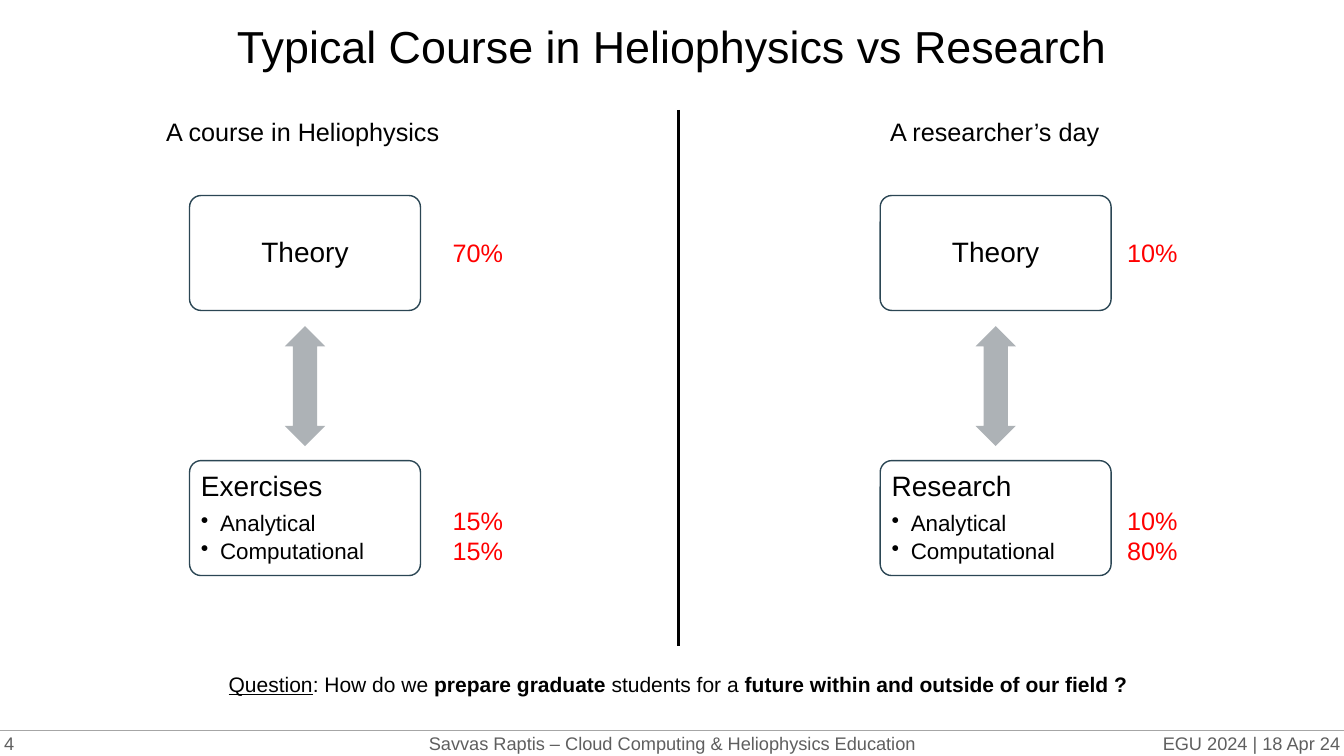
import pptx
import pptx.util
import pptx.dml.color
import pptx.enum.shapes
import pptx.enum.text
import pptx.oxml
import pptx.oxml.ns

Inches = pptx.util.Inches
Pt = pptx.util.Pt
Shape = pptx.enum.shapes.MSO_SHAPE
Align = pptx.enum.text.PP_ALIGN
Anchor = pptx.enum.text.MSO_ANCHOR

COLORS = {
    "ink": "000000", "share": "FF0000", "foot": "5F5F5F", "rule": "A6A6A6",
    "paper": "FFFFFF", "edge": "2B4654", "arrow": "ADB2B6",
}


class Deck:
    font = "Arial"

    def __init__(self, wide, high):
        self.prs = pptx.Presentation()
        self.prs.slide_width = Inches(wide)
        self.prs.slide_height = Inches(high)
        self.slide = self.prs.slides.add_slide(self.prs.slide_layouts[6])

    def color(self, name):
        return pptx.dml.color.RGBColor.from_string(COLORS[name])

    def style(self, font, size, color="ink"):
        font.name = self.font
        font.size = Pt(size)
        font.color.rgb = self.color(color)

    def inset(self, frame, gap):
        frame.margin_left = frame.margin_right = Inches(gap)
        frame.margin_top = frame.margin_bottom = Inches(gap)

    def text(self, at, words, size, color="ink", align=Align.LEFT, wrap=True, flush=False):
        frame = self.slide.shapes.add_textbox(*map(Inches, at)).text_frame
        frame.word_wrap = wrap
        if flush:
            self.inset(frame, 0)
            frame.vertical_anchor = Anchor.MIDDLE
        frame.text = words
        for para in frame.paragraphs:
            para.alignment = align
            for run in para.runs:
                self.style(run.font, size, color)
        return frame

    def line(self, start, end, color, width):
        line = self.slide.shapes.add_connector(
            pptx.enum.shapes.MSO_CONNECTOR.STRAIGHT, *map(Inches, start + end))
        line.line.color.rgb = self.color(color)
        line.line.width = Pt(width)
        line.element.spPr.append(pptx.oxml.parse_xml(
            "<a:effectLst %s/>" % pptx.oxml.ns.nsdecls("a")))

    def shape(self, kind, at, fill, edge=None):
        shape = self.slide.shapes.add_shape(kind, *map(Inches, at))
        shape.shadow.inherit = False
        shape.fill.solid()
        shape.fill.fore_color.rgb = self.color(fill)
        if edge:
            shape.line.color.rgb = self.color(edge)
            shape.line.width = Pt(1)
        else:
            shape.line.fill.background()
        return shape

    def bullet(self, para):
        props = para._p.get_or_add_pPr()
        props.set("marL", str(Inches(0.19)))
        props.set("indent", str(Inches(-0.19)))
        props.append(pptx.oxml.parse_xml(
            '<a:buChar %s char="•"/>' % pptx.oxml.ns.nsdecls("a")))

    def box(self, left, top, head, items=()):
        box = self.shape(Shape.ROUNDED_RECTANGLE, (left, top, 2.29, 1.14), "paper", "edge")
        box.adjustments[0] = 0.1
        frame = box.text_frame
        frame.word_wrap = True
        self.inset(frame, 0.08)
        frame.vertical_anchor = Anchor.TOP if items else Anchor.MIDDLE
        frame.text = "\n".join((head,) + items)
        for n, para in enumerate(frame.paragraphs):
            para.alignment = Align.LEFT if items else Align.CENTER
            para.line_spacing = 0.9
            para.space_after = Pt(3 if n else 7)
            if n:
                self.bullet(para)
            self.style(para.runs[0].font, 16 if n else 20)

    def arrow(self, left, top):
        arrow = self.shape(Shape.LEFT_RIGHT_ARROW, (left, top, 1.19, 0.4), "arrow")
        arrow.rotation = 90
        arrow.adjustments[0] = 0.6
        arrow.adjustments[1] = 0.5

    def mixed(self, at, parts, size):
        para = self.text(at, "", size).paragraphs[0]
        para.alignment = Align.CENTER
        for words, bold, under in parts:
            run = para.add_run()
            run.text = words
            self.style(run.font, size)
            run.font.bold = bold
            run.font.underline = under


def main():
    deck = Deck(13.33, 7.5)

    # Footer
    deck.line((0, 7.25), (13.33, 7.25), "rule", 0.75)
    for at, words, align in (
        ((0, 7.25, 13.33, 0.25),
         "Savvas Raptis – Cloud Computing & Heliophysics Education", Align.CENTER),
        ((9.09, 7.25, 4.2, 0.25), "EGU 2024 | 18 Apr 24", Align.RIGHT),
        ((0.04, 7.25, 4.2, 0.25), "4", Align.LEFT),
    ):
        deck.text(at, words, 13, "foot", align, flush=True)

    # Title and divider
    deck.text((0.63, 0.05, 12.07, 0.81), "Typical Course in Heliophysics vs Research",
              32, align=Align.CENTER, flush=True)
    deck.line((6.73, 1.09), (6.73, 6.41), "ink", 1.5)

    # Course and research columns
    for left, head, place, width, work, share, gap, split in (
        (1.88, "A course in Heliophysics", 1.55, 2.94, "Exercises", "70%", 2.51, "15%\n15%"),
        (8.73, "A researcher’s day", 8.73, 2.3, "Research", "10%", 2.35, "10%\n80%"),
    ):
        deck.text((place, 1.1, width, 0.4), head, 18, wrap=False)
        deck.box(left, 1.94, "Theory")
        deck.arrow(left + 0.55, 3.63)
        deck.box(left, 4.57, work, ("Analytical", "Computational"))
        deck.text((left + gap, 2.31, 0.71, 0.4), share, 18, "share")
        deck.text((left + gap, 4.96, 0.71, 0.71), split, 18, "share", wrap=False)

    # Closing question
    deck.mixed((2.13, 6.61, 9.19, 0.35), (
        ("Question", False, True),
        (": How do we ", False, False),
        ("prepare graduate", True, False),
        (" students for a ", False, False),
        ("future within and outside of our field ?", True, False),
    ), 15)

    deck.prs.save("out.pptx")


if __name__ == "__main__":
    main()
